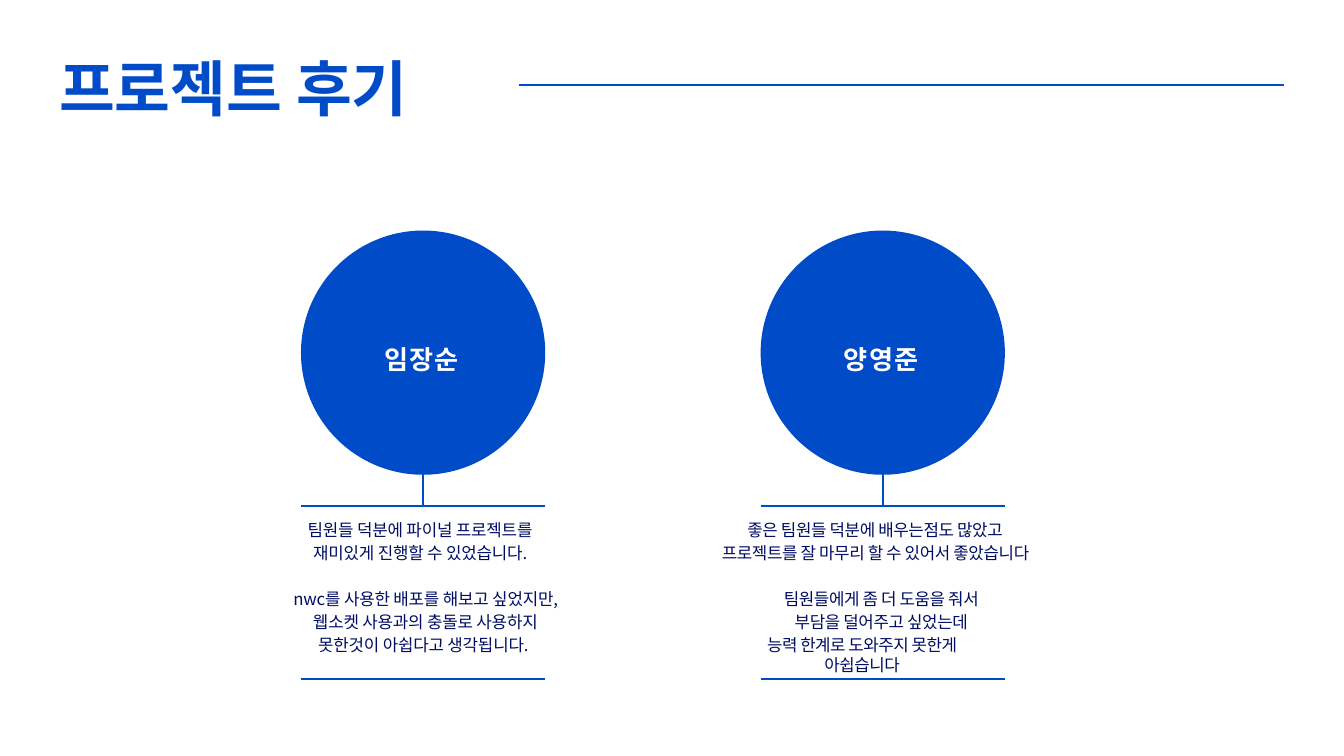
from dataclasses import dataclass

from lxml.etree import SubElement
from pptx import Presentation
from pptx.dml.color import RGBColor
from pptx.enum.shapes import MSO_CONNECTOR, MSO_SHAPE
from pptx.enum.text import PP_ALIGN
from pptx.oxml.ns import qn
from pptx.slide import Slide
from pptx.util import Pt


@dataclass(frozen=True)
class Theme:
    font: str = "Noto Sans CJK KR"
    blue: RGBColor = RGBColor(0x00, 0x4B, 0xC7)
    navy: RGBColor = RGBColor(0x00, 0x0D, 0x64)
    white: RGBColor = RGBColor(0xFF, 0xFF, 0xFF)
    title: float = 65
    name: float = 28
    body: float = 18
    rule: float = 2.25


@dataclass(frozen=True)
class Para:
    """A paragraph; a vertical tab in its text is a line break."""
    text: str
    spacing: float
    left: float = 0.7
    right: float = 0
    first: float = 0
    leading: float = 1.15
    before: float = 0
    align: PP_ALIGN = PP_ALIGN.LEFT


@dataclass(frozen=True)
class Box:
    x: float
    y: float
    w: float
    h: float
    paras: tuple[Para, ...]


@dataclass(frozen=True)
class Member:
    name: str
    reviews: tuple[Box, ...]


THEME = Theme()
COLUMN_X, COLUMN_STEP = 322.5, 492.5
CIRCLE_Y, CIRCLE_D = 247, 261.7
RULE_TOP, RULE_BOTTOM = 542.2, 727.8
REVIEW_Y, WISH_Y = 552.2, 626.4
REVIEW_H, WISH_H = 51.8, 76.3

MEMBERS = (
    Member("임장순", (
        Box(329, REVIEW_Y, 248.4, REVIEW_H, (
            Para("팀원들 덕분에 파이널 프로젝트를\v재미있게 진행할 수 있었습니다.",
                 -0.2, left=6.5, first=-5.8),)),
        Box(309.6, WISH_Y, 287.3, WISH_H, (
            Para("nwc를 사용한 배포를 해보고 싶었지만, 웹소켓 사용과의 충돌로 "
                 "사용하지 못한것이 아쉽다고 생각됩니다.",
                 -0.2, left=3.7, right=3, align=PP_ALIGN.CENTER),)),
    )),
    Member("양영준", (
        Box(772.6, REVIEW_Y, 346.3, REVIEW_H, (
            Para("좋은 팀원들 덕분에 배우는점도 많았고\v"
                 "프로젝트를 잘 마무리 할 수 있어서 좋았습니다",
                 -0.4, first=27.4),)),
        Box(793.4, WISH_Y, 304.6, WISH_H, (
            Para("팀원들에게 좀 더 도움을 줘서\v부담을 덜어주고 싶었는데",
                 -0.4, left=41, right=44, align=PP_ALIGN.CENTER),
            Para("능력 한계로 도와주지 못한게\v아쉽습니다", -0.5, left=0, right=44,
                 leading=1, before=3.1, align=PP_ALIGN.CENTER))),
    )),
)


def add_text(s: Slide, box: Box, size: float, color: RGBColor, bold: bool = False) -> None:
    sp = s.shapes.add_textbox(Pt(box.x), Pt(box.y), Pt(box.w), Pt(box.h))
    tf = sp.text_frame
    tf.word_wrap = True
    tf.margin_left = tf.margin_right = tf.margin_bottom = 0
    tf.margin_top = Pt(1)
    for i, para in enumerate(box.paras):
        p = tf.add_paragraph() if i else tf.paragraphs[0]
        p.text = para.text
        p.alignment = para.align
        p.line_spacing = para.leading
        if para.before:
            p.space_before = Pt(para.before)
        pPr = p._p.get_or_add_pPr()
        for key, value in (("marL", para.left), ("marR", para.right), ("indent", para.first)):
            pPr.set(key, str(Pt(value)))
        font = p.font
        font.size, font.bold, font.name = Pt(size), bold, THEME.font
        font.color.rgb = color
        props = pPr.find(qn("a:defRPr"))
        props.set("spc", str(round(para.spacing * 100)))
        SubElement(props, qn("a:ea"), typeface=THEME.font)


def add_line(s: Slide, x1: float, y1: float, x2: float, y2: float) -> None:
    line = s.shapes.add_connector(MSO_CONNECTOR.STRAIGHT, Pt(x1), Pt(y1), Pt(x2), Pt(y2))
    line.line.color.rgb = THEME.blue
    line.line.width = Pt(THEME.rule)
    SubElement(line._element.spPr, qn("a:effectLst"))


def add_member(s: Slide, member: Member, x: float) -> None:
    """Draw a name circle, its stem and the ruled reviews below it."""
    sp = s.shapes.add_shape(MSO_SHAPE.OVAL, Pt(x), Pt(CIRCLE_Y), Pt(CIRCLE_D), Pt(CIRCLE_D))
    sp.shadow.inherit = False
    sp.fill.solid()
    sp.fill.fore_color.rgb = THEME.blue
    sp.line.fill.background()
    center = x + CIRCLE_D / 2
    add_line(s, center, CIRCLE_Y + CIRCLE_D, center, RULE_TOP)
    for y in (RULE_TOP, RULE_BOTTOM):
        add_line(s, x, y, x + CIRCLE_D, y)
    label = Para(member.name, 1.2, leading=1)
    add_text(s, Box(x + 88.6, 366.5, 102, 35.3, (label,)), THEME.name, THEME.white, bold=True)
    for review in member.reviews:
        add_text(s, review, THEME.body, THEME.navy)


def main() -> None:
    prs = Presentation()
    prs.slide_width, prs.slide_height = Pt(1440), Pt(810)
    s = prs.slides.add_slide(prs.slide_layouts[6])
    title = Para("프로젝트 후기", 0, leading=1)
    add_text(s, Box(62.6, 53.3, 399.6, 79.9, (title,)), THEME.title, THEME.blue, bold=True)
    add_line(s, 555.8, 91.4, 1375.9, 91.4)
    for i, member in enumerate(MEMBERS):
        add_member(s, member, COLUMN_X + i * COLUMN_STEP)
    prs.save("out.pptx")


if __name__ == "__main__":
    main()
